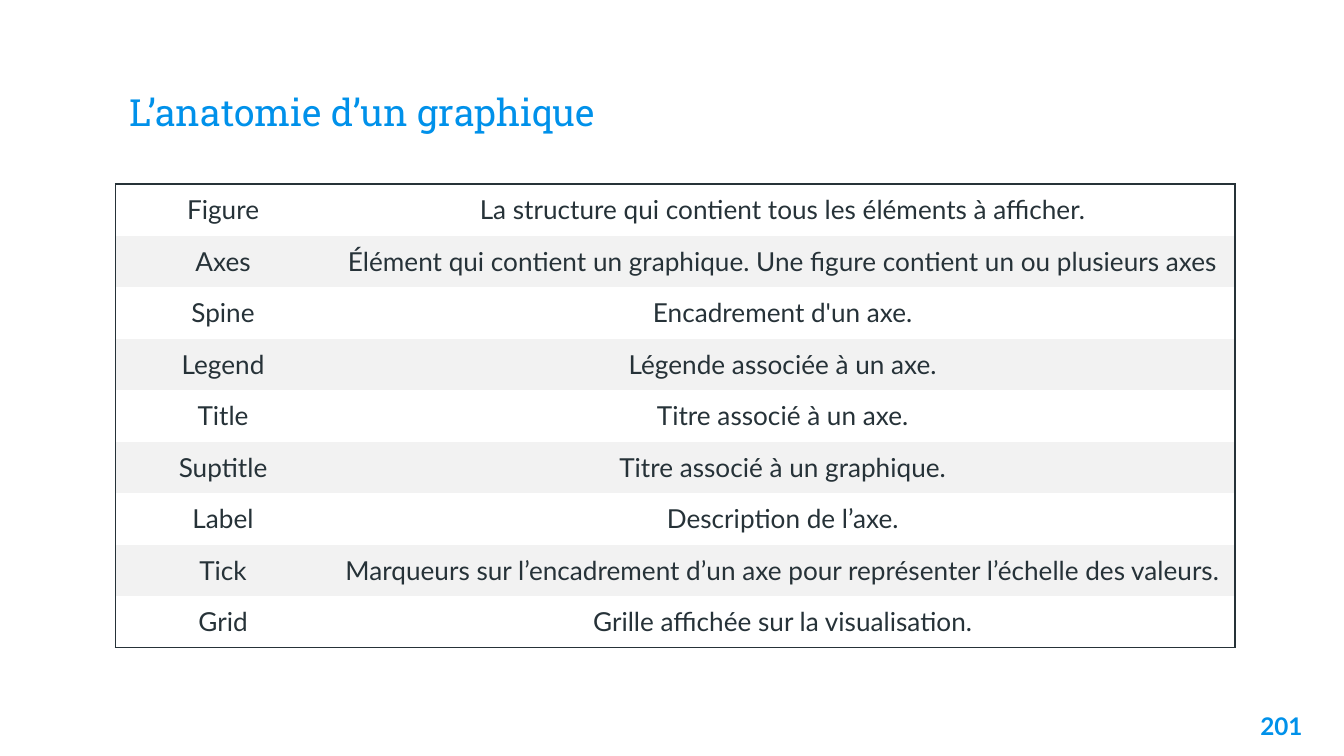
from lxml import etree
from pptx import Presentation
from pptx.dml.color import RGBColor
from pptx.enum import text as t
from pptx.oxml import ns
from pptx.util import Inches, Pt

HUES = {"blue": "0091EA", "ink": "263238", "white": "FFFFFF", "grey": "F2F2F2"}
ROWS = [
    ("Figure", "La structure qui contient tous les éléments à afficher."),
    ("Axes", "Élément qui contient un graphique. Une figure contient un ou plusieurs axes"),
    ("Spine", "Encadrement d'un axe."),
    ("Legend", "Légende associée à un axe."),
    ("Title", "Titre associé à un axe."),
    ("Suptitle", "Titre associé à un graphique."),
    ("Label", "Description de l’axe."),
    ("Tick", "Marqueurs sur l’encadrement d’un axe pour représenter l’échelle des valeurs."),
    ("Grid", "Grille affichée sur la visualisation."),
]


def style(frame, words, face, size, hue, align, bold=False):
    frame.text = words
    para = frame.paragraphs[0]
    para.alignment = align
    font = para.runs[0].font
    font.name, font.size, font.bold = face, Pt(size), bold
    font.color.rgb = RGBColor.from_string(HUES[hue])


def edge(cell, sides):
    """Draw the named sides in ink and clear the others."""
    props = cell._tc.get_or_add_tcPr()
    for i, side in enumerate("LRTB"):
        line = etree.Element(ns.qn("a:ln" + side), w=str(Pt(1)))
        if side in sides:
            fill = etree.SubElement(line, ns.qn("a:solidFill"))
            etree.SubElement(fill, ns.qn("a:srgbClr"), val=HUES["ink"])
        else:
            etree.SubElement(line, ns.qn("a:noFill"))
        props.insert(i, line)


# Wide slide, 16 to 9
deck = Presentation()
deck.slide_width = Inches(10)
deck.slide_height = Inches(10) * 9 // 16
slide = deck.slides.add_slide(deck.slide_layouts[5])
slide.background.fill.solid()
slide.background.fill.fore_color.rgb = RGBColor.from_string(HUES["white"])

# Title
title = slide.shapes.title
title.left, title.top = Inches(0.86), Inches(0.34)
title.width, title.height = Inches(8.28), Inches(0.76)

# Page number
page = slide.shapes.add_textbox(Inches(9.19), Inches(5.19), Inches(0.6), Inches(0.43))

for box in (title, page):
    frame = box.text_frame
    frame.word_wrap = True
    frame.auto_size = t.MSO_AUTO_SIZE.NONE
    frame.margin_left = frame.margin_right = Inches(0.1)
    frame.margin_top = frame.margin_bottom = Inches(0.1)
title.text_frame.vertical_anchor = t.MSO_ANCHOR.BOTTOM
style(title.text_frame, "L’anatomie d’un graphique", "Roboto Slab", 20, "blue", t.PP_ALIGN.LEFT)
style(page.text_frame, "201", "Lato", 13, "blue", t.PP_ALIGN.RIGHT, True)

# Table of chart parts, framed on the outside only
table = slide.shapes.add_table(
    len(ROWS), 2, Inches(0.86), Inches(1.37), Inches(8.33), Inches(3.45)).table
table.first_row = table.horz_banding = False
for col, width in zip(table.columns, (1.6, 6.73)):
    col.width = Inches(width)
for r, row in enumerate(ROWS):
    for c, words in enumerate(row):
        cell = table.cell(r, c)
        cell.vertical_anchor = t.MSO_ANCHOR.MIDDLE
        cell.margin_left = cell.margin_right = Inches(0.1)
        cell.margin_top = cell.margin_bottom = Inches(0.07)
        cell.fill.solid()
        cell.fill.fore_color.rgb = RGBColor.from_string(HUES["grey" if r % 2 else "white"])
        style(cell.text_frame, words, "Lato", 14, "ink", t.PP_ALIGN.CENTER)
        sides = "LR"[c]
        if r == 0:
            sides += "T"
        if r == len(ROWS) - 1:
            sides += "B"
        edge(cell, sides)

deck.save("out.pptx")
